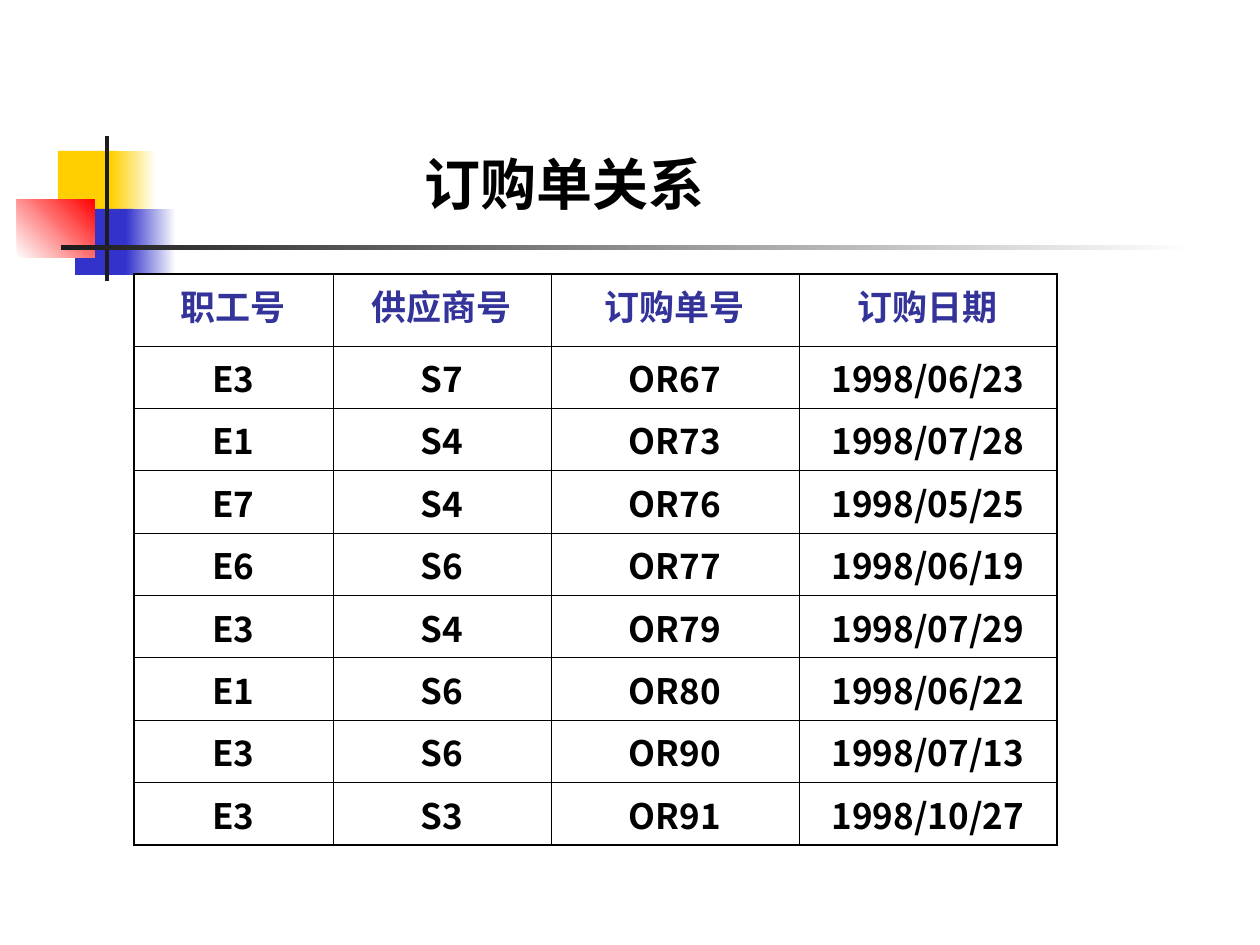
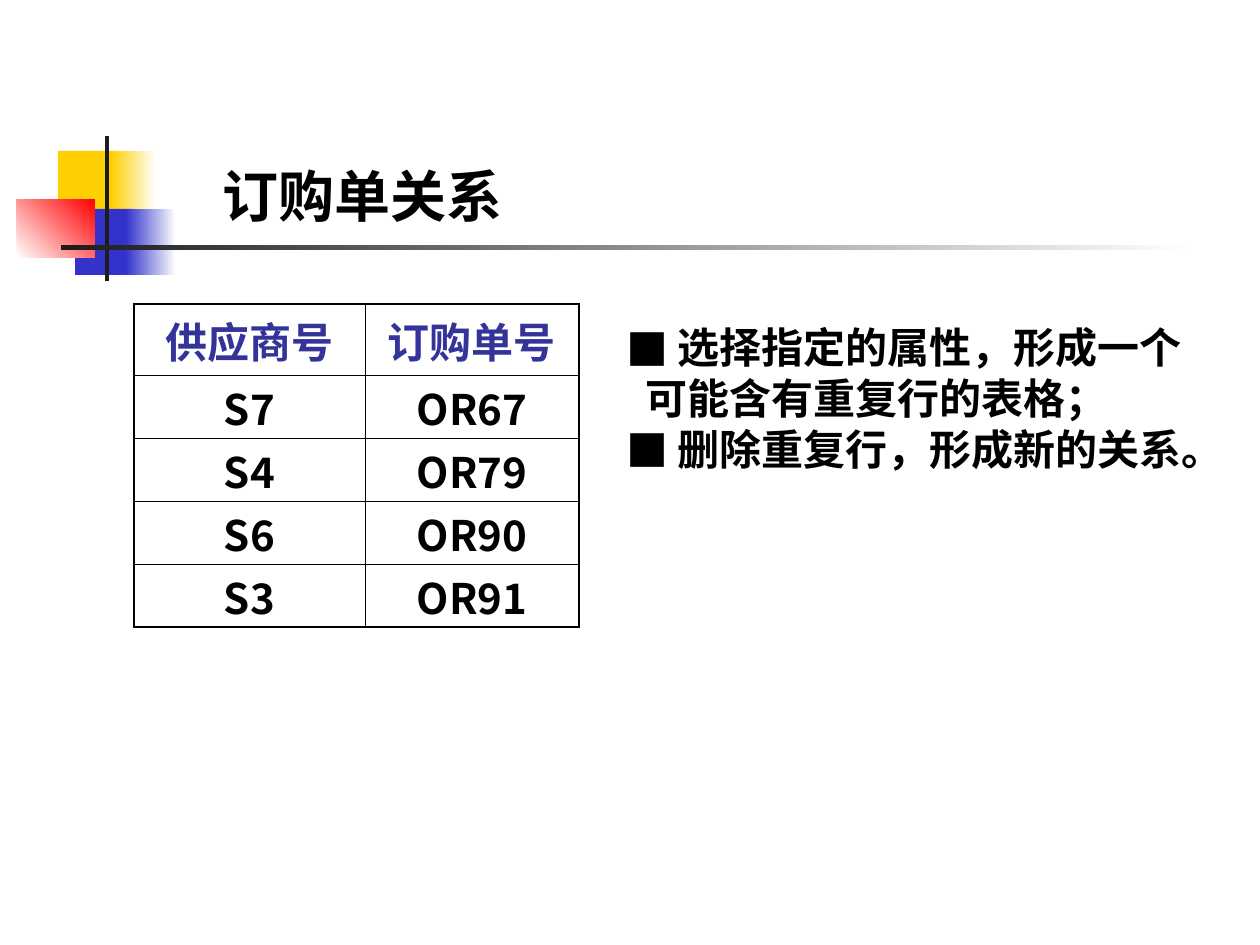
from lxml.etree import SubElement
from pptx import Presentation
from pptx.dml.color import RGBColor
from pptx.enum.shapes import MSO_SHAPE
from pptx.enum.text import MSO_ANCHOR, MSO_AUTO_SIZE, PP_ALIGN
from pptx.oxml.ns import qn
from pptx.util import Emu, Pt

PX = 914400 / 126
COLORS = {
    "yellow": "FFCF01", "blue": "3333CC", "red": "FF0000", "dark": "1C1C1C",
    "white": "FFFFFF", "black": "000000", "header": "333399",
}
CJK_FONT = "Noto Sans CJK SC"
TABLE_LEFT = 134

# left, top, width, height, colours from start to end, gradient angle
DECORATIONS = [
    (58, 151, 60, 66, ["yellow"], 0),
    (111, 151, 45, 66, ["yellow", "white"], 0),
    (75, 209, 58, 66, ["blue"], 0),
    (126, 209, 50, 66, ["blue", "white"], 0),
    (17, 199, 78, 59, ["white", "red"], 45),
    (105, 136, 4, 145, ["dark"], 0),
    (61, 245, 1134, 5, ["dark", "white"], 0),
]

ORDERS = [
    ["职工号", "供应商号", "订购单号", "订购日期"],
    ["E3", "S7", "OR67", "1998/06/23"],
    ["E1", "S4", "OR73", "1998/07/28"],
    ["E7", "S4", "OR76", "1998/05/25"],
    ["E6", "S6", "OR77", "1998/06/19"],
    ["E3", "S4", "OR79", "1998/07/29"],
    ["E1", "S6", "OR80", "1998/06/22"],
    ["E3", "S6", "OR90", "1998/07/13"],
    ["E3", "S3", "OR91", "1998/10/27"],
]
PROJECTION = [
    ["供应商号", "订购单号"],
    ["S7", "OR67"],
    ["S4", "OR79"],
    ["S6", "OR90"],
    ["S3", "OR91"],
]

SLIDES = [
    {"layout": 5, "title_at": (412, 143), "table_top": 274, "rows": ORDERS,
     "columns": [199, 218, 248, 258], "table_height": 571, "header_height": 72,
     "body_margin": 6, "size": 20, "points": []},
    {"layout": 1, "title_at": (210, 155), "table_top": 304, "rows": PROJECTION,
     "columns": [231, 214], "table_height": 323, "header_height": 71,
     "body_margin": 2, "size": 24,
     # text, left margin, has a bullet
     "points": [("选择指定的属性，形成一个", 51, True),
                ("可能含有重复行的表格；", 19, False),
                ("删除重复行，形成新的关系。", 51, True)]},
]


def px(*values):
    lengths = [Emu(round(value * PX)) for value in values]
    return lengths if len(lengths) > 1 else lengths[0]


def format_text(paragraph, size, color, latin=CJK_FONT):
    """Format the runs of a paragraph in bold, with the East Asian font."""
    for run in paragraph.runs:
        values = {"name": latin, "size": Pt(size), "bold": True}
        for name, value in values.items():
            setattr(run.font, name, value)
        run.font.color.rgb = RGBColor.from_string(COLORS[color])
        east_asian = SubElement(run.font._element, qn("a:ea"))
        east_asian.set("typeface", CJK_FONT)


presentation = Presentation()
presentation.slide_width, presentation.slide_height = px(1260, 945)
master = presentation.slide_master

for number, content in enumerate(SLIDES):
    slide = presentation.slides.add_slide(presentation.slide_layouts[content["layout"]])

    # The coloured blocks and rules belong to the master, behind its placeholders
    if number == 0:
        for index, (left, top, width, height, colors, angle) in enumerate(DECORATIONS):
            block = slide.shapes.add_shape(MSO_SHAPE.RECTANGLE, *px(left, top, width, height))
            block.shadow.inherit = False
            block.line.fill.background()
            if len(colors) == 1:
                block.fill.solid()
                block.fill.fore_color.rgb = RGBColor.from_string(COLORS[colors[0]])
            else:
                block.fill.gradient()
                block.fill.gradient_angle = angle
                for stop, color in zip(block.fill.gradient_stops, colors):
                    stop.color.rgb = RGBColor.from_string(COLORS[color])
            master.shapes.element.insert(2 + index, block.element)

    title = slide.shapes.title
    title.left, title.top, title.width, title.height = px(*content["title_at"], 340, 81)
    frame = title.text_frame
    frame.text = "订购单关系"
    frame_format = {"word_wrap": True, "auto_size": MSO_AUTO_SIZE.NONE,
                    "vertical_anchor": MSO_ANCHOR.MIDDLE, "margin_top": 0, "margin_bottom": 0}
    for name, value in frame_format.items():
        setattr(frame, name, value)
    frame.paragraphs[0].alignment = PP_ALIGN.LEFT
    format_text(frame.paragraphs[0], 32, "black", "Times New Roman")

    rows, columns = content["rows"], content["columns"]
    table_height, header_height = content["table_height"], content["header_height"]
    body_height = (table_height - header_height) / (len(rows) - 1)
    table = slide.shapes.add_table(
        len(rows), len(columns),
        *px(TABLE_LEFT, content["table_top"], sum(columns), table_height)).table
    table.first_row = table.horz_banding = False
    for column, width in zip(table.columns, columns):
        column.width = px(width)
    for row_index, row in enumerate(rows):
        table.rows[row_index].height = px(body_height if row_index else header_height)
        for column_index, text in enumerate(row):
            cell = table.cell(row_index, column_index)
            cell.text = text
            cell.margin_top = px(content["body_margin"] if row_index else 6)
            cell.margin_bottom = 0
            paragraph = cell.text_frame.paragraphs[0]
            paragraph.alignment = PP_ALIGN.CENTER
            format_text(paragraph, content["size"], "black" if row_index else "header")
            outer_edges = {
                "a:lnL": column_index == 0,
                "a:lnR": column_index == len(columns) - 1,
                "a:lnT": row_index == 0,
                "a:lnB": row_index == len(rows) - 1,
            }
            properties = cell._tc.get_or_add_tcPr()
            for edge, is_outer in outer_edges.items():
                line = SubElement(properties, qn(edge), w=str(Pt(1.08 if is_outer else 0.45)))
                line_fill = SubElement(line, qn("a:solidFill"))
                SubElement(line_fill, qn("a:srgbClr"), val=COLORS["black"])
            cell.fill.background()

    if content["points"]:
        body = slide.placeholders[1]
        body.left, body.top, body.width, body.height = px(614, 315, 630, 164)
        frame = body.text_frame
        frame.word_wrap = True
        frame.auto_size = MSO_AUTO_SIZE.NONE
        frame.vertical_anchor = MSO_ANCHOR.TOP
        frame.text = "\n".join(text for text, margin, has_bullet in content["points"])
        for paragraph, (text, margin, has_bullet) in zip(frame.paragraphs, content["points"]):
            properties = paragraph._p.get_or_add_pPr()
            properties.set("marL", str(px(margin)))
            properties.set("indent", str(px(-margin if has_bullet else 0)))
            if has_bullet:
                SubElement(properties, qn("a:buFont"), typeface=CJK_FONT)
                SubElement(properties, qn("a:buChar"), char="■")
            else:
                SubElement(properties, qn("a:buNone"))
            paragraph.space_before = Pt(0)
            paragraph.line_spacing = Pt(29)
            format_text(paragraph, 24, "black")

presentation.save("out.pptx")
